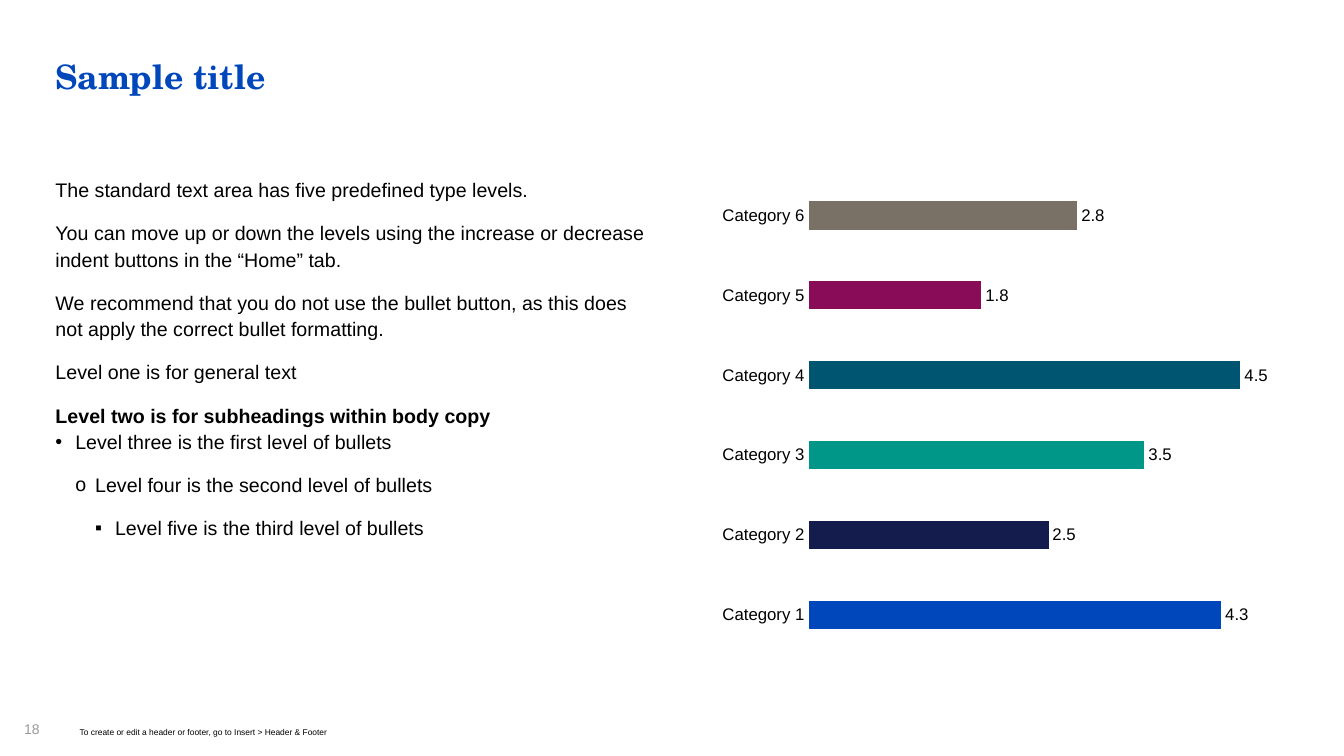
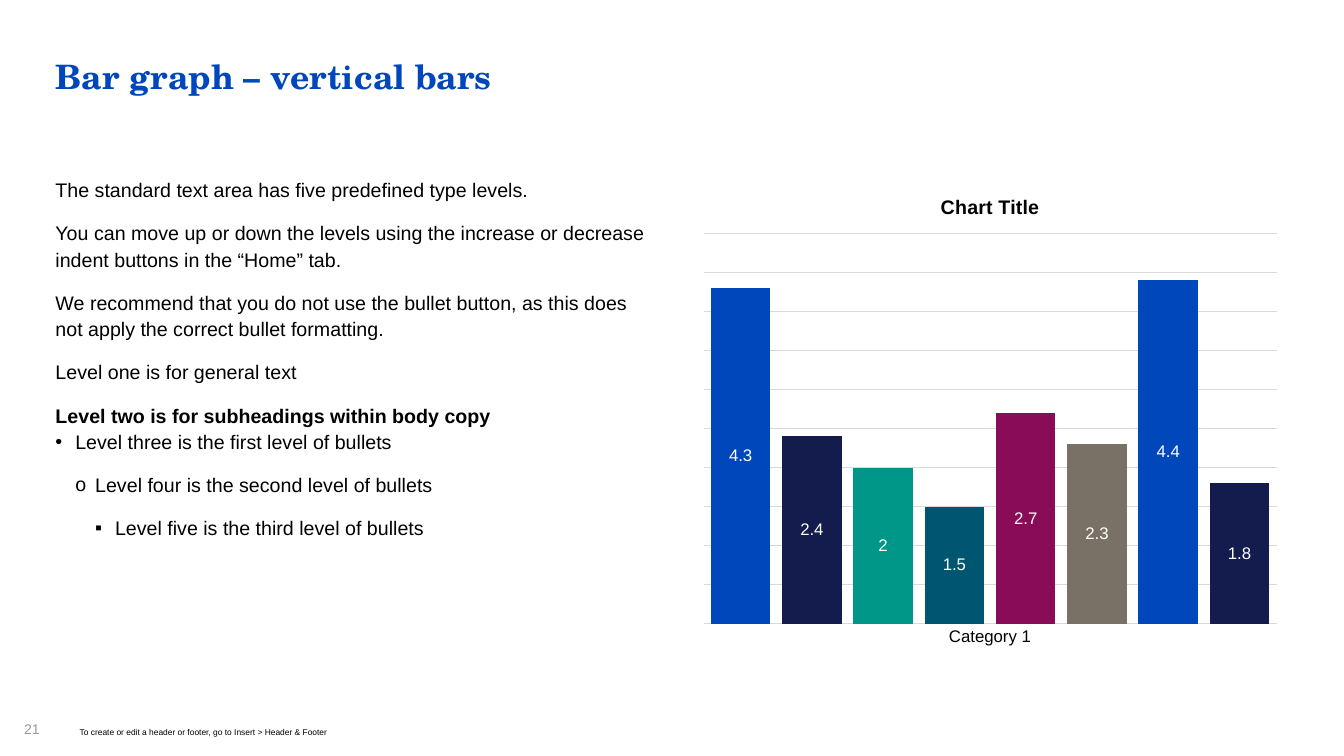
from dataclasses import dataclass
from itertools import cycle

from lxml.etree import SubElement
from pptx import Presentation
from pptx.chart.data import CategoryChartData
from pptx.dml.color import RGBColor
from pptx.enum.chart import XL_CHART_TYPE, XL_LABEL_POSITION, XL_TICK_LABEL_POSITION, XL_TICK_MARK
from pptx.enum.text import MSO_ANCHOR, MSO_AUTO_SIZE, PP_ALIGN
from pptx.oxml import parse_xml
from pptx.oxml.ns import nsdecls, qn
from pptx.util import Inches, Pt


@dataclass(frozen=True)
class Theme:
    heading_font: str = "TeX Gyre Schola"
    body_font: str = "Arial"
    blue: str = "0047BB"
    black: str = "000000"
    white: str = "FFFFFF"
    page_grey: str = "999999"
    grid_grey: str = "D9D9D9"
    palette: tuple = ("0047BB", "141B4D", "009788", "005670", "890C58", "797166")
    title_size: float = 24
    body_size: float = 14
    label_size: float = 12
    page_size: float = 10
    footer_size: float = 6
    tight_lines: float = 0.9
    body_lines: float = 1.12


THEME = Theme()

# left, top, width, height in inches
TITLE_BOX = (0.55, 0.6, 12.23, 1.02)
BODY_BOX = (0.55, 1.74, 5.92, 4.76)
CHART_BOX = (6.86, 1.74, 5.92, 4.76)
PAGE_BOX = (0.24, 7.17, 0.26, 0.33)
FOOTER_BOX = (0.79, 7.22, 4.82, 0.28)

FOOTER = "To create or edit a header or footer, go to Insert > Header & Footer"
BULLET_STEP = 0.197

# level, text
BODY = [
    (0, "The standard text area has five predefined type levels."),
    (0, "You can move up or down the levels using the increase or decrease "
        "indent buttons in the “Home” tab."),
    (0, "We recommend that you do not use the bullet button, as this does "
        "not apply the correct bullet formatting."),
    (0, "Level one is for general text"),
    (1, "Level two is for subheadings within body copy"),
    (2, "Level three is the first level of bullets"),
    (3, "Level four is the second level of bullets"),
    (4, "Level five is the third level of bullets"),
]
BULLETS = {2: "•", 3: "o", 4: "▪"}


def inches(box):
    return [Inches(length) for length in box]


def style_font(font, size, color, name=THEME.body_font, bold=False):
    for attribute, value in {"size": Pt(size), "name": name, "bold": bold}.items():
        setattr(font, attribute, value)
    font.color.rgb = RGBColor.from_string(color)


def fill_solid(target, color):
    target.format.fill.solid()
    target.format.fill.fore_color.rgb = RGBColor.from_string(color)


def prepare_frame(frame):
    settings = {"margin_left": 0, "margin_top": 0, "margin_right": 0, "margin_bottom": 0,
                "word_wrap": True, "auto_size": MSO_AUTO_SIZE.NONE,
                "vertical_anchor": MSO_ANCHOR.TOP}
    for attribute, value in settings.items():
        setattr(frame, attribute, value)


def write_paragraph(paragraph, text, size, color, lines=THEME.tight_lines, after=0, **font):
    settings = {"alignment": PP_ALIGN.LEFT, "line_spacing": lines,
                "space_before": Pt(0), "space_after": Pt(after)}
    for attribute, value in settings.items():
        setattr(paragraph, attribute, value)
    run = paragraph.add_run()
    run.text = text
    style_font(run.font, size, color, **font)


def set_level(paragraph, level):
    """Set the outline level with its hanging indent and bullet."""
    paragraph.level = level
    depth = max(level - 1, 0)
    properties = paragraph._p.get_or_add_pPr()
    properties.set("marL", str(Inches(depth * BULLET_STEP)))
    properties.set("indent", str(-Inches(BULLET_STEP) if depth else 0))
    if level in BULLETS:
        SubElement(properties, qn("a:buFont")).set("typeface", THEME.body_font)
        SubElement(properties, qn("a:buChar")).set("char", BULLETS[level])
    else:
        SubElement(properties, qn("a:buNone"))


def place_title(slide, text, box):
    title = slide.shapes.title
    title.left, title.top, title.width, title.height = inches(box)
    prepare_frame(title.text_frame)
    write_paragraph(title.text_frame.paragraphs[0], text, THEME.title_size, THEME.blue,
                    name=THEME.heading_font, bold=True)


def add_line_of_text(slide, text, box, size, color):
    frame = slide.shapes.add_textbox(*inches(box)).text_frame
    prepare_frame(frame)
    write_paragraph(frame.paragraphs[0], text, size, color)


def add_body(slide, entries, box):
    frame = slide.shapes.add_textbox(*inches(box)).text_frame
    prepare_frame(frame)
    for index, (level, text) in enumerate(entries):
        paragraph = frame.add_paragraph() if index else frame.paragraphs[0]
        set_level(paragraph, level)
        subheading = level == 1
        write_paragraph(paragraph, text, THEME.body_size, THEME.black, THEME.body_lines,
                        after=0 if subheading else 12, bold=subheading)


def add_base_chart(slide, box, kind, categories, series, label_position, label_color):
    """Add a 0 to 5 bar chart with value labels and a bare category axis."""
    data = CategoryChartData()
    data.categories = categories
    for number, values in enumerate(series, 1):
        data.add_series(f"Series {number}", values)
    chart = slide.shapes.add_chart(kind, *inches(box), data).chart
    chart.has_legend = False
    chart.has_title = False
    style_font(chart.font, THEME.page_size, THEME.black)

    plot = chart.plots[0]
    plot.vary_by_categories = False
    for bars, color in zip(plot.series, cycle(THEME.palette)):
        bars.invert_if_negative = False
        fill_solid(bars, color)
        labels = bars.data_labels
        labels.show_value = True
        labels.position = label_position
        style_font(labels.font, THEME.label_size, label_color)

    for axis in (chart.category_axis, chart.value_axis):
        axis.major_tick_mark = axis.minor_tick_mark = XL_TICK_MARK.NONE
        axis.has_major_gridlines = False
        axis.format.line.fill.background()
        style_font(axis.tick_labels.font, THEME.label_size, THEME.black)
    chart.value_axis.minimum_scale = 0
    chart.value_axis.maximum_scale = 5
    return chart


def set_inner_plot(chart, x, y, w, h):
    """Fix the inner plot area as fractions of the chart."""
    plot_area = chart.element.find(qn("c:chart")).find(qn("c:plotArea"))
    old_layout = plot_area.find(qn("c:layout"))
    if old_layout is not None:
        plot_area.remove(old_layout)
    sizes = "".join(f'<c:{tag} val="{value}"/>'
                    for tag, value in zip("xywh", (x, y, w, h)))
    plot_area.insert(0, parse_xml(
        f'<c:layout {nsdecls("c")}><c:manualLayout><c:layoutTarget val="inner"/>'
        f'<c:xMode val="edge"/><c:yMode val="edge"/>{sizes}</c:manualLayout></c:layout>'))


def add_horizontal_bars(slide, box):
    values = (4.3, 2.5, 3.5, 4.5, 1.8, 2.8)
    categories = [f"Category {number}" for number in range(1, len(values) + 1)]
    chart = add_base_chart(slide, box, XL_CHART_TYPE.BAR_CLUSTERED, categories, [values],
                           XL_LABEL_POSITION.OUTSIDE_END, THEME.black)
    chart.value_axis.tick_label_position = XL_TICK_LABEL_POSITION.NONE
    plot = chart.plots[0]
    plot.gap_width = 182
    for index, color in enumerate(THEME.palette):
        fill_solid(plot.series[0].points[index], color)
    set_inner_plot(chart, 0.196, 0, 0.804, 1)


def add_vertical_bars(slide, box):
    values = (4.3, 2.4, 2, 1.5, 2.7, 2.3, 4.4, 1.8)
    chart = add_base_chart(slide, box, XL_CHART_TYPE.COLUMN_CLUSTERED, ["Category 1"],
                           [[value] for value in values],
                           XL_LABEL_POSITION.CENTER, THEME.white)
    plot = chart.plots[0]
    plot.gap_width = 25
    plot.overlap = -20

    scale = chart.value_axis
    scale.visible = False
    scale.major_unit = 0.5
    scale.has_major_gridlines = True
    grid = scale.major_gridlines.format.line
    grid.width = Pt(0.75)
    grid.color.rgb = RGBColor.from_string(THEME.grid_grey)

    chart.has_title = True
    chart.chart_title.include_in_layout = False
    heading = chart.chart_title.text_frame.paragraphs[0].add_run()
    heading.text = "Chart Title"
    style_font(heading.font, THEME.body_size, THEME.black, bold=True)


def add_chart_slide(deck, title, page, draw_chart):
    slide = deck.slides.add_slide(deck.slide_layouts.get_by_name("Title Only"))
    place_title(slide, title, TITLE_BOX)
    add_body(slide, BODY, BODY_BOX)
    draw_chart(slide, CHART_BOX)
    add_line_of_text(slide, page, PAGE_BOX, THEME.page_size, THEME.page_grey)
    add_line_of_text(slide, FOOTER, FOOTER_BOX, THEME.footer_size, THEME.black)


def main():
    deck = Presentation()
    deck.slide_width, deck.slide_height = Inches(13.33), Inches(7.5)
    add_chart_slide(deck, "Sample title", "18", add_horizontal_bars)
    add_chart_slide(deck, "Bar graph – vertical bars", "21", add_vertical_bars)
    deck.save("out.pptx")


if __name__ == "__main__":
    main()
